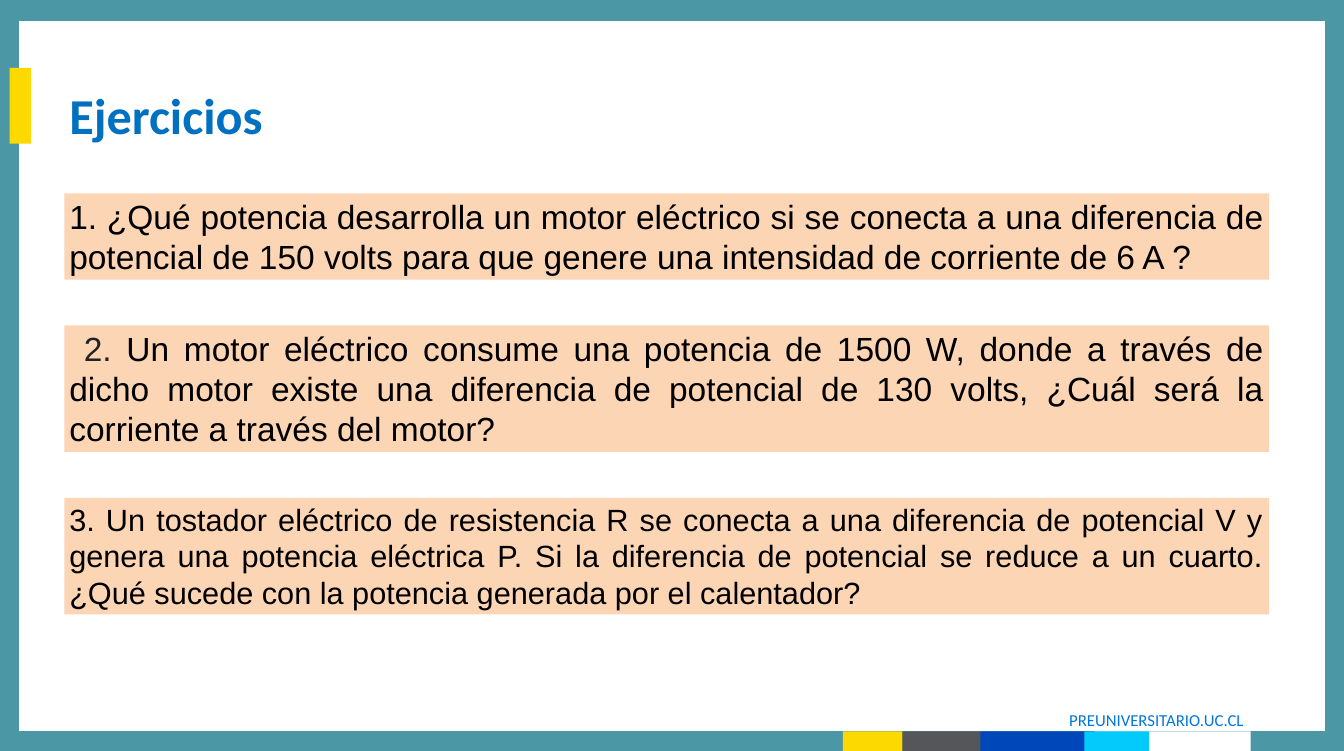
import pptx
import pptx.util
import pptx.dml.color
import pptx.enum.shapes
import pptx.enum.text

Pt = pptx.util.Pt
Align = pptx.enum.text.PP_ALIGN
Anchor = pptx.enum.text.MSO_ANCHOR
Fit = pptx.enum.text.MSO_AUTO_SIZE


def color(code):
    return pptx.dml.color.RGBColor.from_string(code)


def write(frame, *runs, font="Arial", size=48, ink="000000", bold=False,
          align=Align.LEFT, anchor=Anchor.TOP, fit=Fit.NONE, inset=7.2):
    frame.word_wrap = True
    frame.auto_size = fit
    frame.vertical_anchor = anchor
    frame.margin_left = frame.margin_right = Pt(inset)
    frame.margin_top = frame.margin_bottom = Pt(3.6)
    line = frame.paragraphs[0]
    line.alignment = align
    for item in runs:
        words, tone = item if isinstance(item, tuple) else (item, ink)
        run = line.add_run()
        run.text = words
        run.font.name = font
        run.font.size = Pt(size)
        run.font.bold = bold
        run.font.color.rgb = color(tone)


class Page:
    teal, gold, peach, blue = "4C97A5", "FDD902", "FCD5B5", "0070C0"

    def __init__(self, deck):
        self.slide = deck.slides.add_slide(deck.slide_layouts[5])
        self.shapes = self.slide.shapes

    def block(self, left, top, width, height, fill=None, edge=None):
        kind = pptx.enum.shapes.MSO_SHAPE.RECTANGLE
        shape = self.shapes.add_shape(kind, Pt(left), Pt(top), Pt(width), Pt(height))
        shape.shadow.inherit = False
        if fill:
            shape.fill.solid()
            shape.fill.fore_color.rgb = color(fill)
        else:
            shape.fill.background()
        if edge:
            shape.line.color.rgb = color(edge)
            shape.line.width = Pt(37)
        else:
            shape.line.fill.background()
        return shape

    def title(self, text):
        head = self.shapes.title
        head.left, head.top = Pt(92.2), Pt(95)
        head.width, head.height = Pt(1238.4), Pt(116.6)
        write(head.text_frame, text, font="Calibri", size=72, ink=self.blue,
              bold=True, anchor=Anchor.BOTTOM)

    def footer(self, text):
        box = self.shapes.add_textbox(Pt(1215.4), Pt(1014.5), Pt(571), Pt(36))
        write(box.text_frame, text, font="Calibri", size=24, ink="0176DE",
              align=Align.RIGHT, inset=3.6)

    def card(self, top, height, *runs, size=48):
        shape = self.block(92.2, top, 1727.3, height, self.peach)
        write(shape.text_frame, *runs, size=size, align=Align.JUSTIFY,
              fit=Fit.SHAPE_TO_FIT_TEXT)


def main():
    deck = pptx.Presentation()
    deck.slide_width, deck.slide_height = Pt(1926.7), Pt(1077.1)
    page = Page(deck)
    page.block(8.6, 11.5, 1909.4, 1055.5, edge=page.teal)
    for left, width, fill in [(1208.2, 85.7, page.gold), (1293.8, 113, "55565A"),
                              (1405.4, 162.7, "0047BA"), (1568.9, 223.9, "FFFFFF"),
                              (1554.5, 92.9, "04C9FB")]:
        page.block(left, 1049, width, 28.1, fill)
    page.footer("PREUNIVERSITARIO.UC.CL")
    page.block(13.7, 97.2, 31, 108.7, page.gold)
    page.title("Ejercicios")
    page.card(277.2, 123.8,
              "1. ¿Qué potencia desarrolla un motor eléctrico si se conecta a una "
              "diferencia de potencial de 150 volts para que genere una intensidad "
              "de corriente de 6 A ?")
    page.card(466.6, 181.4, (" 2. ", "222222"),
              "Un motor eléctrico consume una potencia de 1500 W, donde a través "
              "de dicho motor existe una diferencia de potencial de 130 volts, "
              "¿Cuál será la corriente a través del motor?")
    page.card(714.2, 167, "3. Un tostador eléctrico de resistencia R se conecta a una "
              "diferencia de potencial V y genera una potencia eléctrica P. Si la "
              "diferencia de potencial se reduce a un cuarto. ¿Qué sucede con la "
              "potencia generada por el calentador?", size=44)
    deck.save("out.pptx")


if __name__ == "__main__":
    main()
